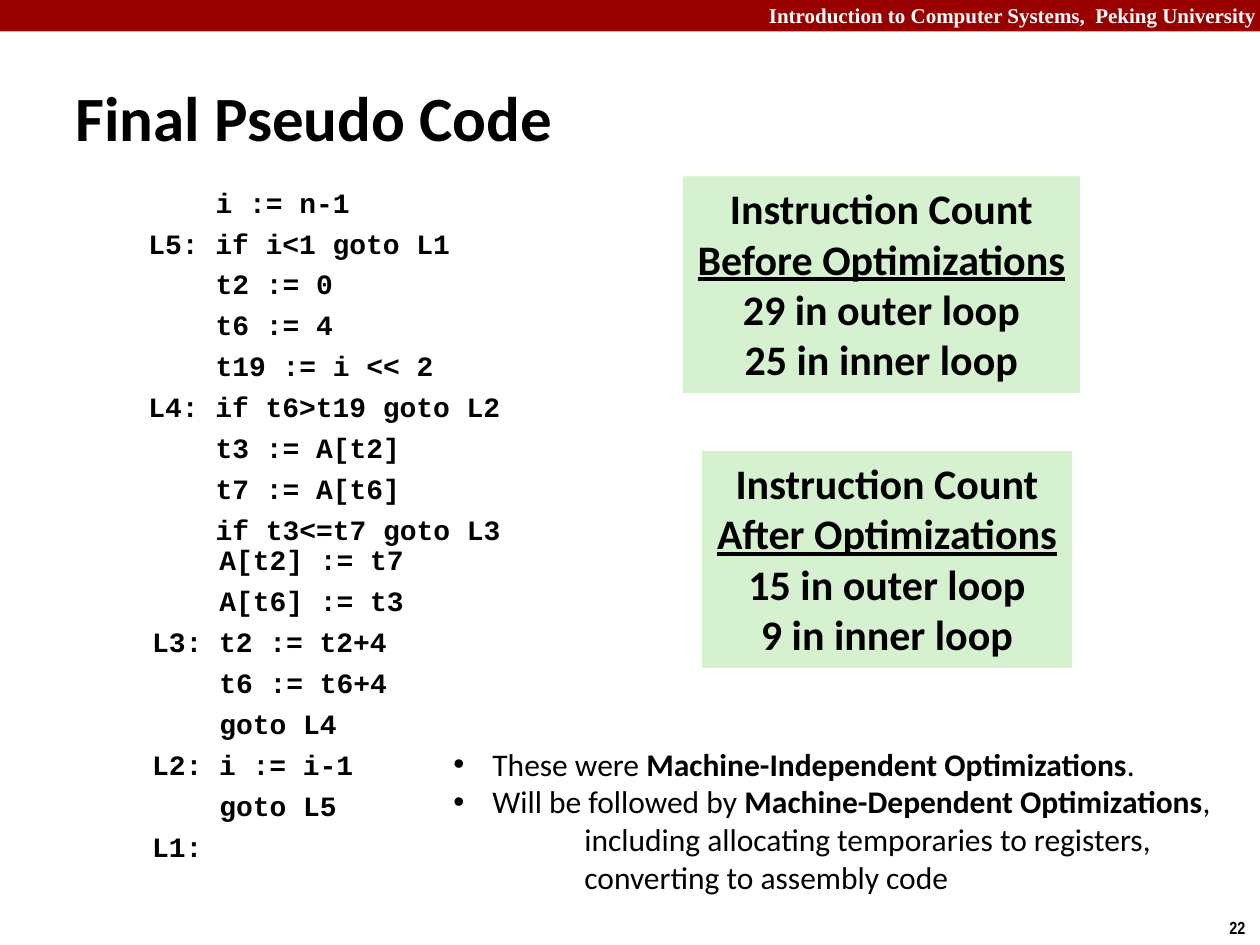
import pptx
import pptx.util
import pptx.dml.color
import pptx.enum.shapes
import pptx.enum.text
from lxml import etree

Inches, Pt = pptx.util.Inches, pptx.util.Pt
ALIGN = pptx.enum.text.PP_ALIGN
ANCHOR = pptx.enum.text.MSO_ANCHOR
RECT = pptx.enum.shapes.MSO_SHAPE.RECTANGLE

# Content
HEADER = "Introduction to Computer Systems,  Peking University"
TITLE = "Final Pseudo Code"
PAGE = "22"
# Each code block: box, then (label, statement) lines
CODE = [
    ((1.08, 1.42, 4.42, 2.92), [
        ("", "i := n-1"), ("L5:", "if i<1 goto L1"), ("", "t2 := 0"),
        ("", "t6 := 4"), ("", "t19 := i << 2"), ("L4:", "if t6>t19 goto L2"),
        ("", "t3 := A[t2]"), ("", "t7 := A[t6]"), ("", "if t3<=t7 goto L3")]),
    ((1.11, 4.26, 3.42, 2.78), [
        ("", "A[t2] := t7"), ("", "A[t6] := t3"), ("L3:", "t2 := t2+4"),
        ("", "t6 := t6+4"), ("", "goto L4"), ("L2:", "i := i-1"),
        ("", "goto L5"), ("L1:", "")]),
]
# Each card: box, stage, instructions in the outer and inner loop
CARDS = [
    ((5.42, 1.4, 3.15, 1.72), "Before", 29, 25),
    ((5.57, 3.58, 2.94, 1.72), "After", 15, 9),
]
# Each note: bulleted or not, then (text, bold) runs
NOTES = [
    (True, [("These were ", False),
            ("Machine-Independent Optimizations", True), (".", False)]),
    (True, [("Will be followed by ", False),
            ("Machine-Dependent Optimizations", True), (",", False)]),
    (False, [("including allocating temporaries to registers,", False)]),
    (False, [("converting to assembly code", False)]),
]
COLORS = {"bar": "990000", "card": "D5F1CF", "text": "000000", "light": "FFFFFF"}
LABEL_WIDTH = 4 * 0.6 * 16 / 72  # four monospaced characters at 16 pt


def rgb(name):
    return pptx.dml.color.RGBColor.from_string(COLORS[name])


def add_run(p, text, size, font="Calibri", bold=True, color="text", underline=False):
    r = p.add_run()
    r.text = text
    r.font.size, r.font.name, r.font.bold = Pt(size), font, bold
    r.font.underline = underline
    r.font.color.rgb = rgb(color)


def add_box(s, box, wrap=True):
    tf = s.shapes.add_textbox(*map(Inches, box)).text_frame
    tf.word_wrap = wrap
    return tf


def add_rect(s, box, color):
    sp = s.shapes.add_shape(RECT, *map(Inches, box))
    sp.shadow.inherit = False
    sp.fill.solid()
    sp.fill.fore_color.rgb = rgb(color)
    sp.line.fill.background()
    return sp


def paragraphs(tf, items):
    """Pair each item with its own paragraph, using the first one already there."""
    for i, item in enumerate(items):
        yield (tf.add_paragraph() if i else tf.paragraphs[0]), item


def set_indent(p, left, first=0, bullet=False):
    pPr = p._p.get_or_add_pPr()
    pPr.set("marL", str(Inches(left)))
    pPr.set("indent", str(Inches(first)))
    if bullet:
        ns = pptx.oxml.ns.qn
        etree.SubElement(pPr, ns("a:buFont")).set("typeface", "Arial")
        etree.SubElement(pPr, ns("a:buChar")).set("char", "•")


prs = pptx.Presentation()
prs.slide_width, prs.slide_height = Inches(10), Inches(7.5)
s = prs.slides.add_slide(prs.slide_layouts[5])

# Header bar and page number
add_rect(s, (0, 0, 10, 0.25), "bar")
p = add_box(s, (6, -0.03, 4.07, 0.3)).paragraphs[0]
p.alignment = ALIGN.RIGHT
add_run(p, HEADER, 12, "Times New Roman", color="light")
p = add_box(s, (9.66, 7.23, 0.34, 0.27), wrap=False).paragraphs[0]
add_run(p, PAGE, 10, "Arial Narrow")

# Title
title = s.shapes.title
title.left, title.top, title.width, title.height = map(Inches, (0.5, 0.3, 9, 1.25))
title.text_frame.vertical_anchor = ANCHOR.MIDDLE
p = title.text_frame.paragraphs[0]
p.alignment = ALIGN.LEFT
add_run(p, TITLE, 36)

# Code: labels hang to the left of the statements
for box, lines in CODE:
    for p, (label, statement) in paragraphs(add_box(s, box), lines):
        set_indent(p, LABEL_WIDTH, -LABEL_WIDTH if label else 0)
        p.space_before = Pt(4.2)
        add_run(p, f"{label} {statement}".strip(), 16, "Courier New")

# Instruction count cards
for box, stage, outer, inner in CARDS:
    tf = add_rect(s, box, "card").text_frame
    tf.word_wrap, tf.vertical_anchor = False, ANCHOR.TOP
    heading = f"{stage} Optimizations"
    lines = ["Instruction Count", heading,
             f"{outer} in outer loop", f"{inner} in inner loop"]
    for p, line in paragraphs(tf, lines):
        p.alignment = ALIGN.CENTER
        add_run(p, line, 24, underline=line == heading)

# Notes
for p, (bulleted, runs) in paragraphs(add_box(s, (3.5, 5.86, 6.4, 1.31)), NOTES):
    if bulleted:
        set_indent(p, 0.31, -0.31, bullet=True)
    else:
        set_indent(p, 1.04)
    for text, bold in runs:
        add_run(p, text, 18, bold=bold)

prs.save("out.pptx")
